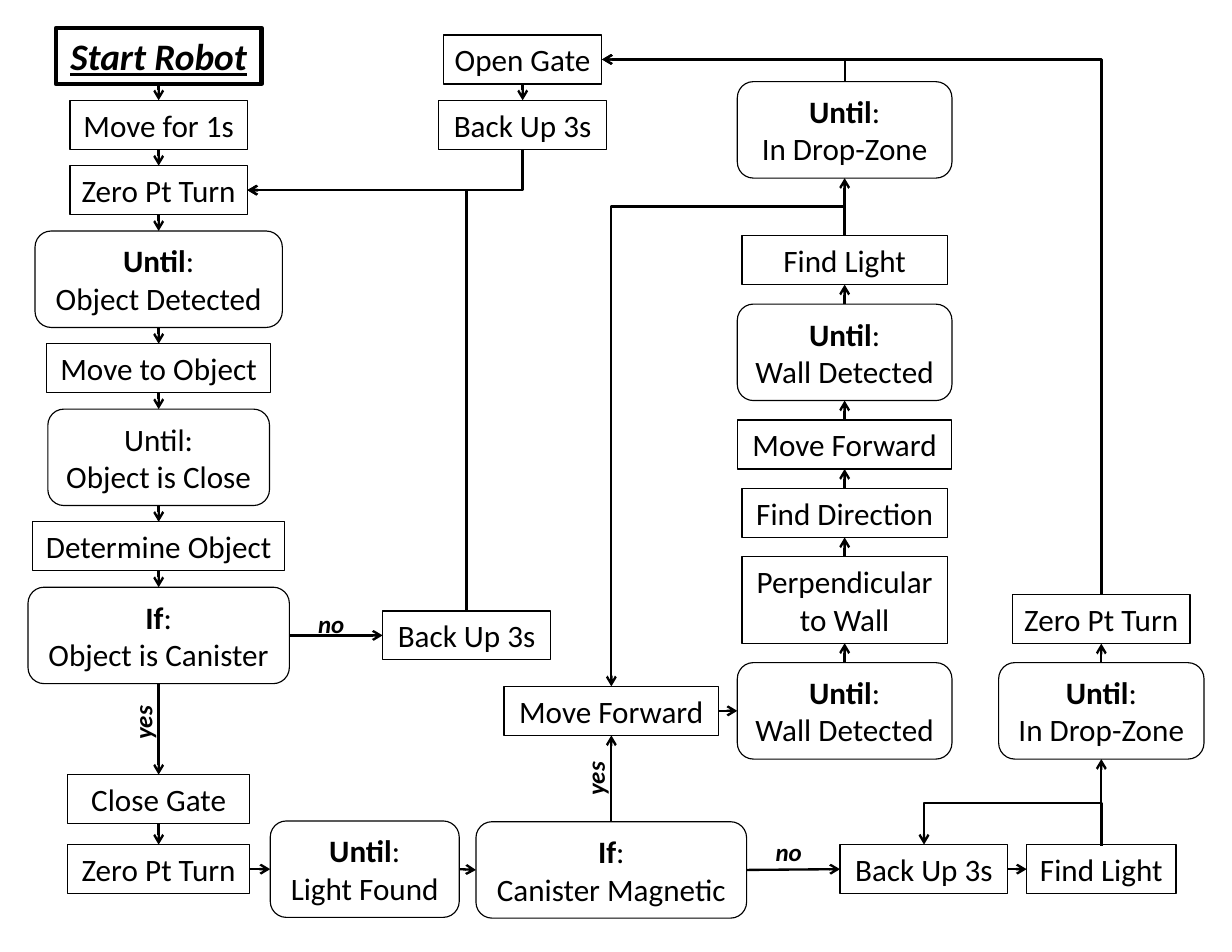
from dataclasses import dataclass
from itertools import pairwise

from lxml import etree
from pptx import Presentation
from pptx.dml.color import RGBColor
from pptx.enum.shapes import MSO_CONNECTOR, MSO_SHAPE
from pptx.enum.text import MSO_ANCHOR, MSO_AUTO_SIZE, PP_ALIGN
from pptx.oxml.ns import qn
from pptx.util import Pt

RECTANGLE = MSO_SHAPE.RECTANGLE
ROUNDED = MSO_SHAPE.FLOWCHART_ALTERNATE_PROCESS
STRAIGHT, ELBOW = MSO_CONNECTOR.STRAIGHT, MSO_CONNECTOR.ELBOW
MIDDLE, CENTER = MSO_ANCHOR.MIDDLE, PP_ALIGN.CENTER
GROW = MSO_AUTO_SIZE.SHAPE_TO_FIT_TEXT
TOP, LEFT, BOTTOM, RIGHT = range(4)

COLORS = {"ink": "000000"}
FONT = "Calibri"
ACTION_HEIGHT, CONDITION_HEIGHT = 31.5, 62


@dataclass
class Step:
    """A box of the flowchart; two lines of text make it a condition."""
    key: str
    text: str
    width: float
    height: float = ACTION_HEIGHT
    bold_head: bool = True
    title: bool = False

    @property
    def is_condition(self) -> bool:
        """Tell whether the box is a rounded condition."""
        return "\n" in self.text

    @property
    def full_height(self) -> float:
        """Return the height that suits the kind of box."""
        return CONDITION_HEIGHT if self.is_condition else self.height


@dataclass
class Column:
    """Steps stacked from the top around one centre, with equal gaps."""
    center: float
    top: float
    gap: float
    steps: list[Step]
    upward: bool = False
    linked: bool = True


@dataclass
class Elbow:
    """A connector that leaves vertically; rise is set if it bends twice."""
    start: tuple[float, float]
    end: tuple[float, float]
    rise: float = 0


@dataclass
class Answer:
    """The label of a branch."""
    text: str
    left: float
    top: float
    rotation: int = 0


COLUMNS = [
    Column(102, 18, 10.5, [
        Step("start", "Start Robot", 132, 36, title=True),
        Step("move", "Move for 1s", 114),
        Step("turn", "Zero Pt Turn", 114),
        Step("detected", "Until:\nObject Detected", 159),
        Step("approach", "Move to Object", 144),
        Step("close", "Until:\nObject is Close", 142.5, bold_head=False),
        Step("determine", "Determine Object", 162),
        Step("canister", "If:\nObject is Canister", 168)]),
    Column(102, 498, 13.5, [
        Step("close gate", "Close Gate", 117),
        Step("search", "Zero Pt Turn", 117)]),
    Column(336, 22.5, 10.5, [
        Step("open gate", "Open Gate", 102),
        Step("leave", "Back Up 3s", 108)]),
    Column(300, 392.75, 0, [Step("reject", "Back Up 3s", 108)]),
    Column(234.5, 527.75, 0, [Step("light found", "Until:\nLight Found", 121.5)]),
    Column(393, 441.25, 24.5 + 31, [
        Step("forward", "Move Forward", 138),
        Step("magnetic", "If:\nCanister Magnetic", 174)], upward=True),
    Column(594, 543, 0, [Step("retreat", "Back Up 3s", 108)]),
    Column(543, 52.5, 37, [
        Step("drop", "Until:\nIn Drop-Zone", 138),
        Step("light", "Find Light", 132)], upward=True),
    Column(543, 195.5, 12.5, [
        Step("wall", "Until:\nWall Detected", 138),
        Step("advance", "Move Forward", 138),
        Step("direction", "Find Direction", 132),
        Step("perpendicular", "Perpendicular to Wall", 132, 55.5),
        Step("first wall", "Until:\nWall Detected", 138)], upward=True),
    Column(708, 382.25, 12.25, [
        Step("final turn", "Zero Pt Turn", 114),
        Step("final drop", "Until:\nIn Drop-Zone", 132)], upward=True),
    Column(708, 543, 0, [Step("final light", "Find Light", 96)]),
]

LINKS = [
    ("canister", BOTTOM, "close gate", TOP),
    ("canister", RIGHT, "reject", LEFT),
    ("search", RIGHT, "light found", LEFT),
    ("light found", RIGHT, "magnetic", LEFT),
    ("magnetic", RIGHT, "retreat", LEFT),
    ("retreat", RIGHT, "final light", LEFT),
    ("forward", RIGHT, "first wall", LEFT),
    ("final light", TOP, "final drop", BOTTOM),
    ("wall", TOP, "light", BOTTOM),
]

ELBOWS = [
    Elbow((708, 543.75), (594, 543), rise=28),
    Elbow((336, 96), (159, 122.25)),
    Elbow((708, 382.25), (387, 38.25)),
    Elbow((543, 52.5), (387, 38.25)),
    Elbow((300, 392.75), (159, 122.25)),
    Elbow((543, 151.5), (393, 441.25), rise=18.75),
]

ANSWERS = [
    Answer("yes", 70.5, 451.5, 270), Answer("yes", 361.5, 487.5, 270),
    Answer("no", 192, 387.5), Answer("no", 486, 534),
]


def format_text(shape, size: float, bold=False, italic=False, underline=False):
    """Give all the text of a shape one look and let the shape fit it."""
    frame = shape.text_frame
    frame.word_wrap = True
    frame.auto_size = GROW
    frame.vertical_anchor = MIDDLE
    for paragraph in frame.paragraphs:
        paragraph.alignment = CENTER
        for run in paragraph.runs:
            font = run.font
            font.name, font.size = FONT, Pt(size)
            font.bold, font.italic, font.underline = bold, italic, underline
            font.color.rgb = RGBColor.from_string(COLORS["ink"])


def add_step(slide, step: Step, center: float, top: float):
    """Draw one step and return its shape."""
    shape = slide.shapes.add_shape(
        ROUNDED if step.is_condition else RECTANGLE,
        Pt(center - step.width / 2), Pt(top), Pt(step.width), Pt(step.full_height))
    shape.shadow.inherit = False
    shape.fill.background()
    shape.line.color.rgb = RGBColor.from_string(COLORS["ink"])
    shape.line.width = Pt(3 if step.title else 0.75)
    shape.text_frame.text = step.text
    head = shape.text_frame.paragraphs[0]
    split = step.is_condition and step.bold_head
    if split:
        head.runs[0].text = head.text.rstrip(":")
        head.add_run().text = ":"
    format_text(shape, 24 if step.title else 20, step.title, step.title, step.title)
    if split:
        head.runs[0].font.bold = True
    return shape


def style_arrow(connector):
    """Make a connector a plain line with an open arrowhead."""
    connector.line.color.rgb = RGBColor.from_string(COLORS["ink"])
    connector.line.width = Pt(1.5)
    line = connector.line._get_or_add_ln()
    etree.SubElement(line, qn("a:tailEnd"), type="arrow")
    etree.SubElement(connector._element.spPr, qn("a:effectLst"))


def add_link(slide, source, source_side: int, target, target_side: int):
    """Join two steps with a straight arrow."""
    connector = slide.shapes.add_connector(STRAIGHT, 0, 0, 0, 0)
    connector.begin_connect(source, source_side)
    connector.end_connect(target, target_side)
    style_arrow(connector)


def add_elbow(slide, elbow: Elbow):
    """Draw an arrow that leaves vertically and then turns left."""
    (x1, y1), (x2, y2) = elbow.start, elbow.end
    middle_x, middle_y = (x1 + x2) / 2, (y1 + y2) / 2
    length, breadth = abs(y2 - y1), abs(x2 - x1)
    left, top = middle_x - length / 2, middle_y - breadth / 2
    connector = slide.shapes.add_connector(
        ELBOW, Pt(left), Pt(top), Pt(left + length), Pt(top + breadth))
    upward = y2 < y1
    properties = connector._element.spPr
    frame = properties.find(qn("a:xfrm"))
    frame.set("rot", str((270 if upward else 90) * 60000))
    if upward:
        frame.set("flipV", "1")
    geometry = properties.find(qn("a:prstGeom"))
    if elbow.rise:
        share = elbow.rise / (y1 - y2)
        guides = geometry.find(qn("a:avLst"))
        etree.SubElement(guides, qn("a:gd"), name="adj1", fmla=f"val {round(share * 100000)}")
    else:
        geometry.set("prst", "bentConnector2")
    style_arrow(connector)


def add_answer(slide, answer: Answer):
    """Write the label of a branch."""
    box = slide.shapes.add_textbox(Pt(answer.left), Pt(answer.top), Pt(42), Pt(26.5))
    box.rotation = answer.rotation
    box.text_frame.text = answer.text
    format_text(box, 16, bold=True, italic=True)


presentation = Presentation()
presentation.slide_width, presentation.slide_height = Pt(792), Pt(612)
slide = presentation.slides.add_slide(presentation.slide_layouts[6])

shapes = {}
for column in COLUMNS:
    top = column.top
    for step in column.steps:
        shapes[step.key] = add_step(slide, step, column.center, top)
        top += step.full_height + column.gap
    for upper, lower in pairwise(column.steps):
        above, below = shapes[upper.key], shapes[lower.key]
        if column.upward:
            add_link(slide, below, TOP, above, BOTTOM)
        else:
            add_link(slide, above, BOTTOM, below, TOP)
for source, source_side, target, target_side in LINKS:
    add_link(slide, shapes[source], source_side, shapes[target], target_side)
for elbow in ELBOWS:
    add_elbow(slide, elbow)
for answer in ANSWERS:
    add_answer(slide, answer)

presentation.save("out.pptx")
